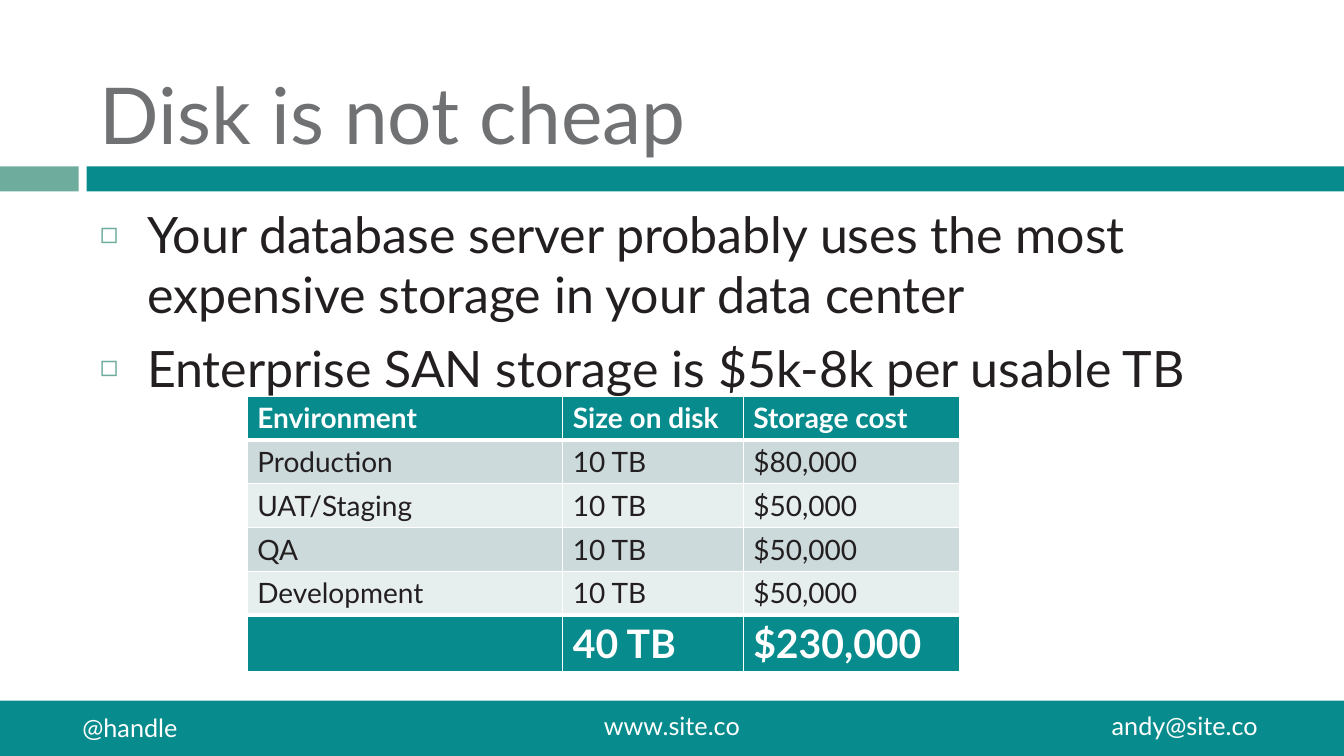
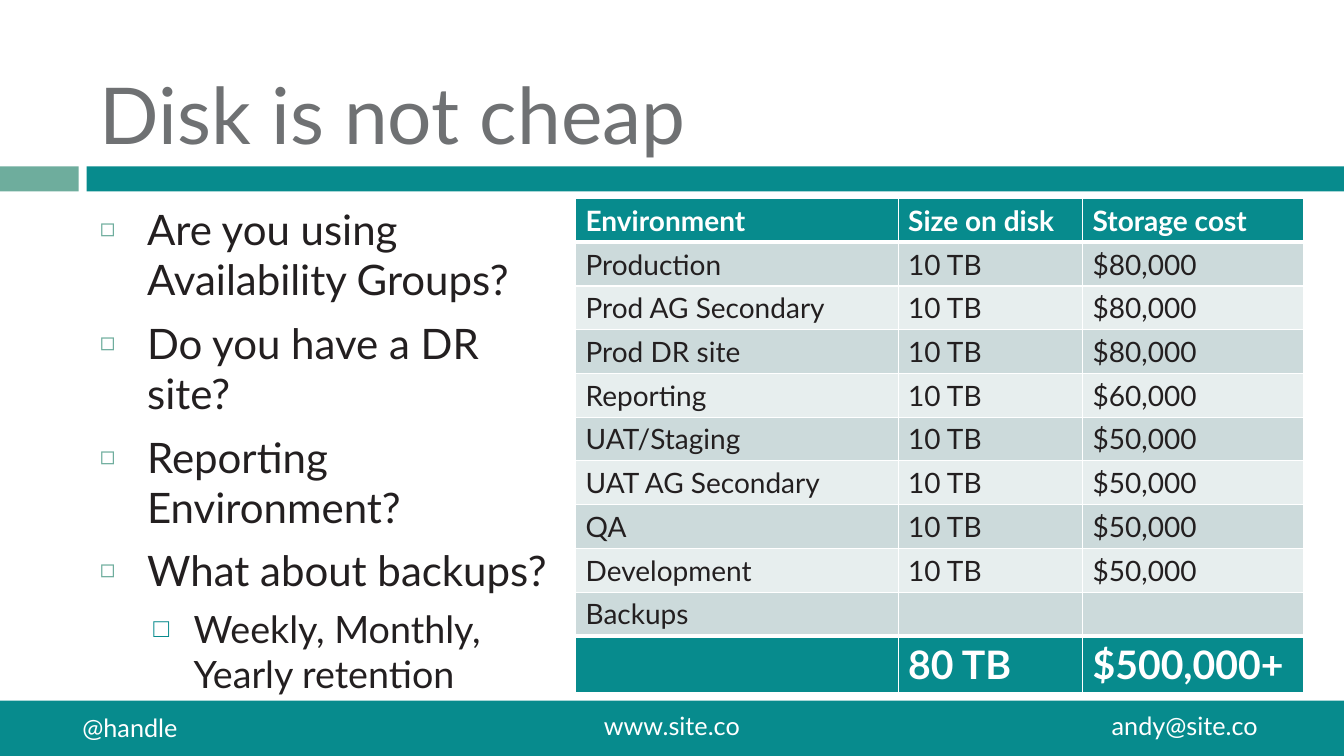
"""Build two slides on the cost of database storage."""
from lxml.etree import SubElement
from pptx import Presentation
from pptx.dml.color import RGBColor
from pptx.enum.shapes import MSO_SHAPE as Shape
from pptx.enum.text import MSO_ANCHOR as Anchor, MSO_AUTO_SIZE as AutoSize, PP_ALIGN as Align
from pptx.oxml.ns import qn
from pptx.util import Pt

FONT = "Lato"
TEAL = RGBColor(0x07, 0x8B, 0x8D)
SAGE = RGBColor(0x6E, 0xAD, 0x9D)
GRAY = RGBColor(0x6F, 0x71, 0x73)
INK = RGBColor(0x23, 0x1F, 0x20)
WHITE = RGBColor(0xFF, 0xFF, 0xFF)
ROW_FILLS = [RGBColor(0xE7, 0xEE, 0xEE), RGBColor(0xCC, 0xDA, 0xDB)]

TITLE = "Disk is not cheap"
HEADER = ("Environment", "Size on disk", "Storage cost")
ROW_HEIGHT, TOTAL_HEIGHT = 31.2, 40.8

BANDS = [
    (0, 118.8, 56.2, 18, SAGE),
    (61.9, 118.8, 898.1, 18, TEAL),
    (0, 500.4, 960, 39.6, TEAL),
]
FOOTERS = [
    ("@handle", 51.8, 505.4, 93.6, Align.LEFT),
    ("www.site.co", 413.3, 504, 133.2, Align.CENTER),
    ("andy@site.co", 787, 504, 133.2, Align.LEFT),
]
LEVELS = [
    {"char": "◻", "color": SAGE, "percent": 60, "margin": 33.8, "hang": 33.8, "before": 9.3},
    {"char": "□", "color": TEAL, "percent": 70, "margin": 67, "hang": 28.8, "before": 7.3},
]
SLIDES = [
    {
        "body": (856, 140.4),
        "bullets": [
            (0, 35.8, "Your database server probably uses the most expensive storage in your data center"),
            (0, 35.8, "Enterprise SAN storage is $5k-8k per usable TB"),
        ],
        "table": (176.6, 283),
        "columns": (225.4, 128.9, 154.8),
        "rows": [
            ("Production", "10 TB", "$80,000"),
            ("UAT/Staging", "10 TB", "$50,000"),
            ("QA", "10 TB", "$50,000"),
            ("Development", "10 TB", "$50,000"),
            ("", "40 TB", "$230,000"),
        ],
    },
    {
        "body": (343.4, 340.6),
        "bullets": [
            (0, 30, "Are you using Availability Groups?"),
            (0, 30, "Do you have a DR site?"),
            (0, 30, "Reporting Environment?"),
            (0, 30, "What about backups?"),
            (1, 26.9, "Weekly, Monthly, Yearly retention"),
        ],
        "table": (411.1, 141.8),
        "columns": (230.4, 131.8, 157.9),
        "rows": [
            ("Production", "10 TB", "$80,000"),
            ("Prod AG Secondary", "10 TB", "$80,000"),
            ("Prod DR site", "10 TB", "$80,000"),
            ("Reporting", "10 TB", "$60,000"),
            ("UAT/Staging", "10 TB", "$50,000"),
            ("UAT AG Secondary", "10 TB", "$50,000"),
            ("QA", "10 TB", "$50,000"),
            ("Development", "10 TB", "$50,000"),
            ("Backups", "", ""),
            ("", "80 TB", "$500,000+"),
        ],
    },
]


def write(para, text, size, color, bold=False, align=Align.LEFT):
    para.text = text
    para.alignment = align
    para.font.name = FONT
    para.font.size = Pt(size)
    para.font.bold = bold
    para.font.color.rgb = color


def place(shape, left, top, width, height):
    shape.left, shape.top = Pt(left), Pt(top)
    shape.width, shape.height = Pt(width), Pt(height)


deck = Presentation()
deck.slide_width, deck.slide_height = Pt(960), Pt(540)

for content in SLIDES:
    page = deck.slides.add_slide(deck.slide_layouts[1])

    for left, top, width, height, color in BANDS:
        band = page.shapes.add_shape(Shape.RECTANGLE, Pt(left), Pt(top), Pt(width), Pt(height))
        band.shadow.inherit = False
        band.fill.solid()
        band.fill.fore_color.rgb = color
        band.line.fill.background()

    for text, left, top, width, align in FOOTERS:
        box = page.shapes.add_textbox(Pt(left), Pt(top), Pt(width), Pt(28.8))
        box.text_frame.word_wrap = True
        write(box.text_frame.paragraphs[0], text, 18, WHITE, align=align)

    title = page.shapes.title
    place(title, 64.1, 12.2, 856, 105.8)
    title.text_frame.vertical_anchor = Anchor.BOTTOM
    title.text_frame.auto_size = AutoSize.NONE
    write(title.text_frame.paragraphs[0], TITLE, 56, GRAY)

    body = page.placeholders[1]
    place(body, 64.1, 141.8, *content["body"])
    frame = body.text_frame
    frame.auto_size = AutoSize.NONE
    for index, (level, size, text) in enumerate(content["bullets"]):
        para = frame.add_paragraph() if index else frame.paragraphs[0]
        style = LEVELS[level]
        para.level = level
        para.space_before = Pt(style["before"])
        props = para._p.get_or_add_pPr()
        props.set("marL", str(Pt(style["margin"])))
        props.set("indent", str(-Pt(style["hang"])))
        bullet_color = SubElement(props, qn("a:buClr"))
        SubElement(bullet_color, qn("a:srgbClr"), val=str(style["color"]))
        SubElement(props, qn("a:buSzPct"), val=str(style["percent"] * 1000))
        SubElement(props, qn("a:buChar"), char=style["char"])
        write(para, text, size, INK)

    rows = [HEADER, *content["rows"]]
    last = len(rows) - 1
    left, top = content["table"]
    height = ROW_HEIGHT * last + TOTAL_HEIGHT
    table = page.shapes.add_table(
        len(rows), len(HEADER), Pt(left), Pt(top), Pt(sum(content["columns"])), Pt(height)
    ).table
    table.first_row = table.horz_banding = False
    for column, width in zip(table.columns, content["columns"]):
        column.width = Pt(width)

    for index, values in enumerate(rows):
        is_total = index == last
        is_strong = is_total or index == 0
        table.rows[index].height = Pt(TOTAL_HEIGHT if is_total else ROW_HEIGHT)
        edges = {
            "a:lnL": 1,
            "a:lnR": 1,
            "a:lnT": 3 if index in (1, last) else 1,
            "a:lnB": 3 if index in (0, last - 1) else 1,
        }
        for cell, text in zip(table.rows[index].cells, values):
            props = cell._tc.get_or_add_tcPr()
            for edge, weight in edges.items():
                line = SubElement(props, qn(edge), w=str(Pt(weight)))
                line_fill = SubElement(line, qn("a:solidFill"))
                SubElement(line_fill, qn("a:srgbClr"), val=str(WHITE))
            cell.fill.solid()
            cell.fill.fore_color.rgb = TEAL if is_strong else ROW_FILLS[index % 2]
            if text:
                write(
                    cell.text_frame.paragraphs[0],
                    text,
                    28 if is_total else 20,
                    WHITE if is_strong else INK,
                    bold=is_strong,
                )

deck.save("out.pptx")
